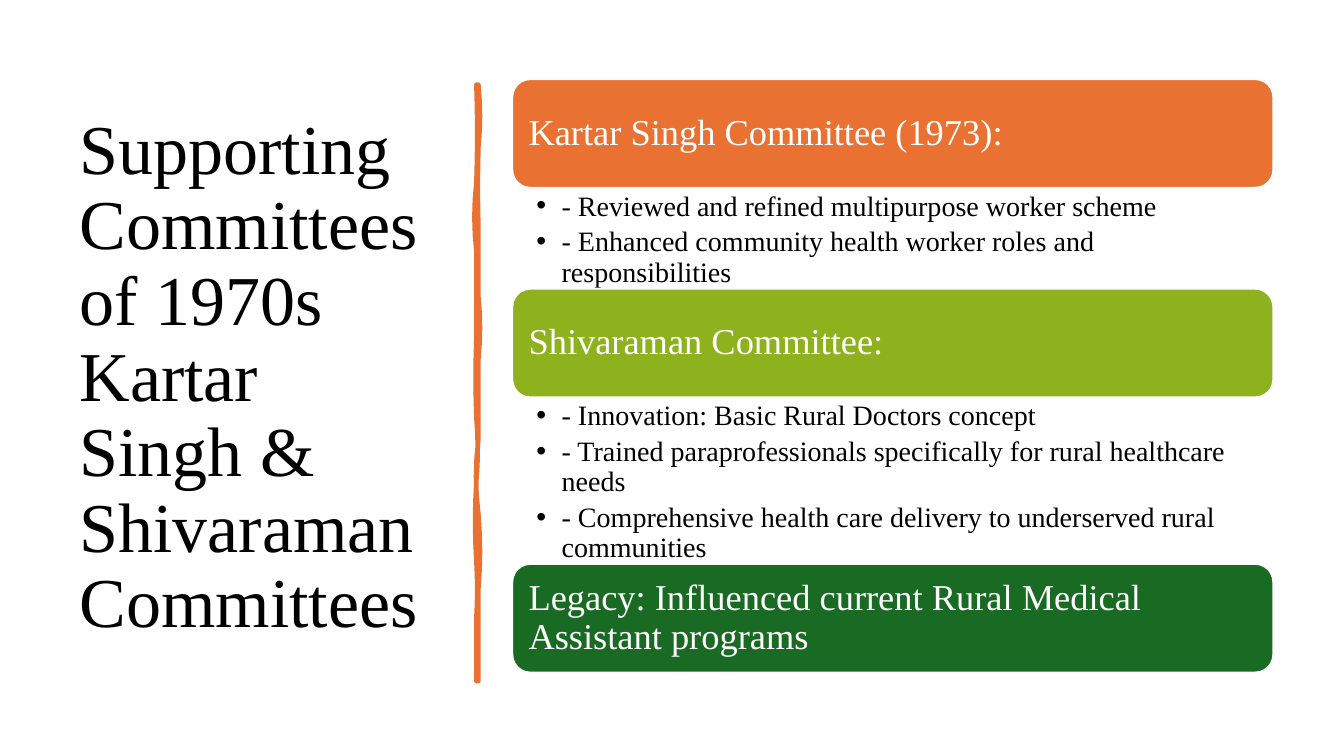
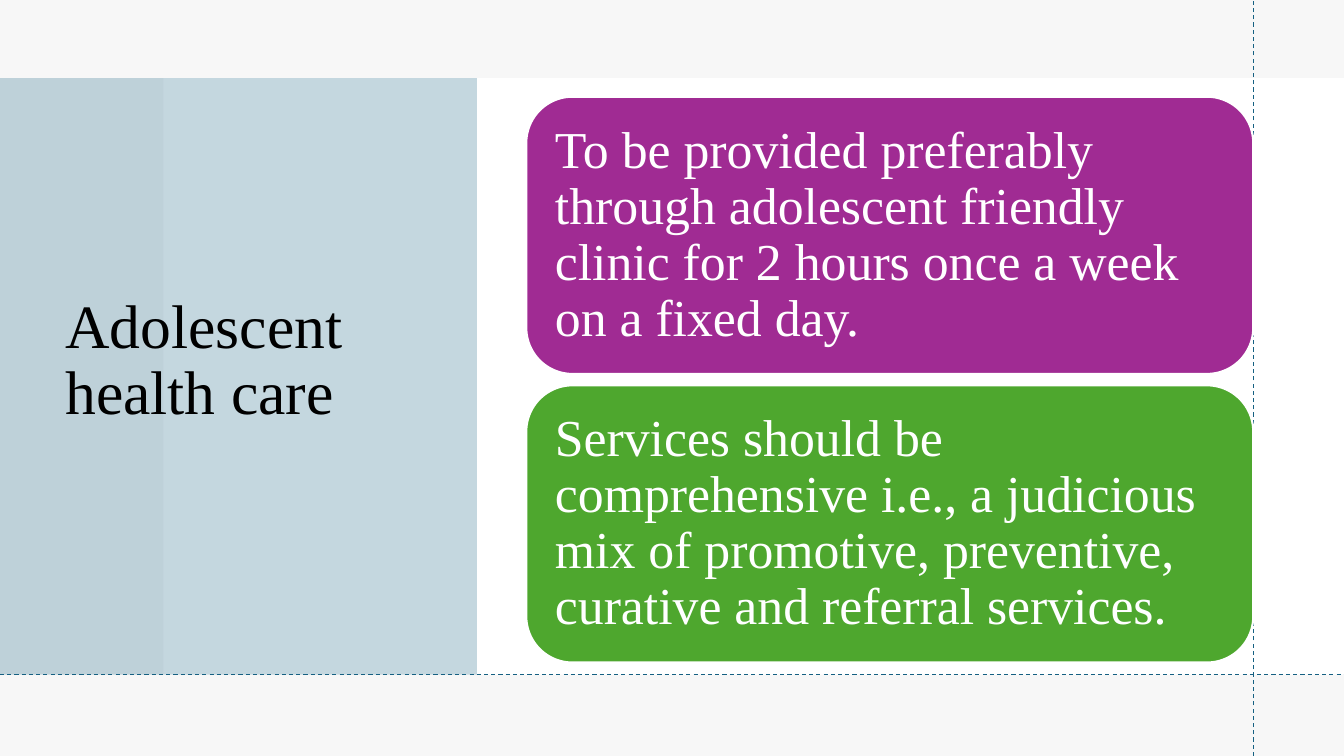
from itertools import pairwise

from lxml.etree import SubElement
from pptx import Presentation
from pptx.dml.color import RGBColor
from pptx.enum.dml import MSO_LINE
from pptx.enum.shapes import MSO_CONNECTOR, MSO_SHAPE
from pptx.enum.text import MSO_ANCHOR, PP_ALIGN
from pptx.oxml.ns import qn
from pptx.util import Inches, Pt

# Shared style
SLIDE_WIDTH, SLIDE_HEIGHT = Inches(13.33), Inches(7.5)
FONT = "Times New Roman"
BLACK, WHITE, PALE_GRAY = "000000", "FFFFFF", "F7F7F7"
ORANGE, LIME, FOREST = "E97132", "8EB21E", "196B24"
PURPLE, GREEN, TEAL = "A02B93", "4EA72E", "156082"


def color(hex_code):
    return RGBColor.from_string(hex_code)


def across(percent):
    """Share of the slide width."""
    return round(SLIDE_WIDTH * percent / 100)


def down(percent):
    """Share of the slide height."""
    return round(SLIDE_HEIGHT * percent / 100)


def area(left, top, width, height):
    return across(left), down(top), across(width), down(height)


# Text
def add_bullet(paragraph):
    properties = paragraph._p.get_or_add_pPr()
    indent = Inches(0.25)
    properties.set("marL", str(indent))
    properties.set("indent", str(-indent))
    SubElement(properties, qn("a:buFont"), typeface="Arial")
    SubElement(properties, qn("a:buChar"), char="•")


def write_text(shape, *lines, size, ink=BLACK, anchor=MSO_ANCHOR.MIDDLE,
               insets=(0.1, 0.05, 0.1, 0.05), bullets=False, space_after=0):
    frame = shape.text_frame
    frame.word_wrap = True
    frame.vertical_anchor = anchor
    (frame.margin_left, frame.margin_top,
     frame.margin_right, frame.margin_bottom) = map(Inches, insets)
    for index, line in enumerate(lines):
        paragraph = frame.add_paragraph() if index else frame.paragraphs[0]
        paragraph.alignment = PP_ALIGN.LEFT
        paragraph.line_spacing = 0.9
        paragraph.space_after = Pt(space_after)
        if bullets:
            add_bullet(paragraph)
        run = paragraph.add_run()
        run.text = line
        run.font.name = FONT
        run.font.size = Pt(size)
        run.font.color.rgb = color(ink)


def add_text(slide, box, *lines, **text_format):
    write_text(slide.shapes.add_textbox(*area(*box)), *lines, **text_format)


# Shapes
def paint(shape, fill, line=None, line_width=1.5, opacity=100):
    shape.shadow.inherit = False
    shape.fill.solid()
    shape.fill.fore_color.rgb = color(fill)
    if opacity < 100:
        fill_color = next(shape.element.spPr.iter(qn("a:srgbClr")))
        SubElement(fill_color, qn("a:alpha"), val=str(opacity * 1000))
    if line:
        shape.line.color.rgb = color(line)
        shape.line.width = Pt(line_width)
    else:
        shape.line.fill.background()


def add_panel(slide, box, fill, opacity=100):
    panel = slide.shapes.add_shape(MSO_SHAPE.RECTANGLE, *area(*box))
    paint(panel, fill, opacity=opacity)


def add_card(slide, box, fill, text, size, inset):
    card = slide.shapes.add_shape(MSO_SHAPE.ROUNDED_RECTANGLE, *area(*box))
    paint(card, fill, line=WHITE)
    write_text(card, text, size=size, ink=WHITE, insets=(inset,) * 4)


def add_guide(slide, start, end):
    guide = slide.shapes.add_connector(
        MSO_CONNECTOR.STRAIGHT, across(start[0]), down(start[1]),
        across(end[0]), down(end[1]))
    guide.line.color.rgb = color(TEAL)
    guide.line.width = Pt(0.75)
    guide.line.dash_style = MSO_LINE.DASH
    SubElement(guide.element.spPr, qn("a:effectLst"))


def wavy_edge(x, stops, bulges):
    """Points down an edge that bows sideways between each pair of stops."""
    points = [(x, stops[0])]
    for (upper, lower), bulge in zip(pairwise(stops), bulges):
        for step in (0.25, 0.5, 0.75, 1):
            bow = bulge * 4 * step * (1 - step)
            points.append((x + bow, upper + (lower - upper) * step))
    return [(across(px), down(py)) for px, py in points]


def add_brush_rule(slide):
    right = wavy_edge(35.6, (11.2, 19.5, 30.1, 39.2, 47.5, 58.1, 68, 77.9, 90.1),
                      (0.12, -0.04, 0, 0.12, 0, -0.18, 0.12, 0))
    left = wavy_edge(35.45, (11.2, 24.1, 33.3, 44.7, 55.3, 63.6, 74.3, 81.7, 90.1),
                     (0.06, -0.15, 0, -0.06, 0.1, -0.1, 0.06, 0))
    outline = right + left[::-1]
    builder = slide.shapes.build_freeform(*outline[0])
    builder.add_line_segments(outline[1:], close=True)
    rule = builder.convert_to_shape()
    paint(rule, ORANGE, line=ORANGE, line_width=3.25)
    SubElement(rule.element.spPr.find(qn("a:ln")), qn("a:round"))


# Slides
def add_slide(presentation, background):
    slide = presentation.slides.add_slide(presentation.slide_layouts[6])
    slide.background.fill.solid()
    slide.background.fill.fore_color.rgb = color(background)
    return slide


def build_committees(presentation):
    slide = add_slide(presentation, WHITE)
    add_text(slide, (5.18, 9.33, 28.06, 81.47), "Supporting Committees of 1970s",
             "Kartar Singh & Shivaraman Committees", size=50)
    add_brush_rule(slide)

    left, top, width, header_height = 38.11, 10.45, 56.64, 14.4
    sections = [
        (ORANGE, "Kartar Singh Committee (1973):", 13.33,
         ["- Reviewed and refined multipurpose worker scheme",
          "- Enhanced community health worker roles and responsibilities"]),
        (LIME, "Shivaraman Committee:", 22,
         ["- Innovation: Basic Rural Doctors concept",
          "- Trained paraprofessionals specifically for rural healthcare needs",
          "- Comprehensive health care delivery to underserved rural communities"]),
        (FOREST, "Legacy: Influenced current Rural Medical Assistant programs", 0, []),
    ]
    for fill, heading, list_height, points in sections:
        add_card(slide, (left, top, width, header_height), fill, heading,
                 size=26, inset=0.11)
        top += header_height
        if points:
            add_text(slide, (left, top, width, list_height), *points, size=20,
                     anchor=MSO_ANCHOR.TOP, insets=(0.24, 0.04, 0.2, 0.04),
                     bullets=True, space_after=4)
        top += list_height


def build_adolescent_care(presentation):
    slide = add_slide(presentation, PALE_GRAY)
    band_top, band_height, guide_x = 10.33, 78.93, 93.25
    band_bottom = band_top + band_height
    add_panel(slide, (12.15, band_top, 87.85, band_height), WHITE)
    add_panel(slide, (0, band_top, 35.48, band_height), TEAL, opacity=25)
    add_text(slide, (4.13, 9.87, 29.63, 75.87), "Adolescent health care", size=44)
    add_guide(slide, (guide_x, 100), (guide_x, 0))
    add_guide(slide, (0, band_bottom), (100, band_bottom))

    left, top, height, gap = 39.16, 12.8, 36.67, 1.5
    cards = [
        (PURPLE, "To be provided preferably through adolescent friendly clinic "
                 "for 2 hours once a week on a fixed day."),
        (GREEN, "Services should be comprehensive i.e., a judicious mix of "
                "promotive, preventive, curative and referral services."),
    ]
    for row, (fill, text) in enumerate(cards):
        add_card(slide, (left, top + row * (height + gap), guide_x - left, height),
                 fill, text, size=37, inset=0.15)


def main():
    presentation = Presentation()
    presentation.slide_width = SLIDE_WIDTH
    presentation.slide_height = SLIDE_HEIGHT
    build_committees(presentation)
    build_adolescent_care(presentation)
    presentation.save("out.pptx")


if __name__ == "__main__":
    main()
